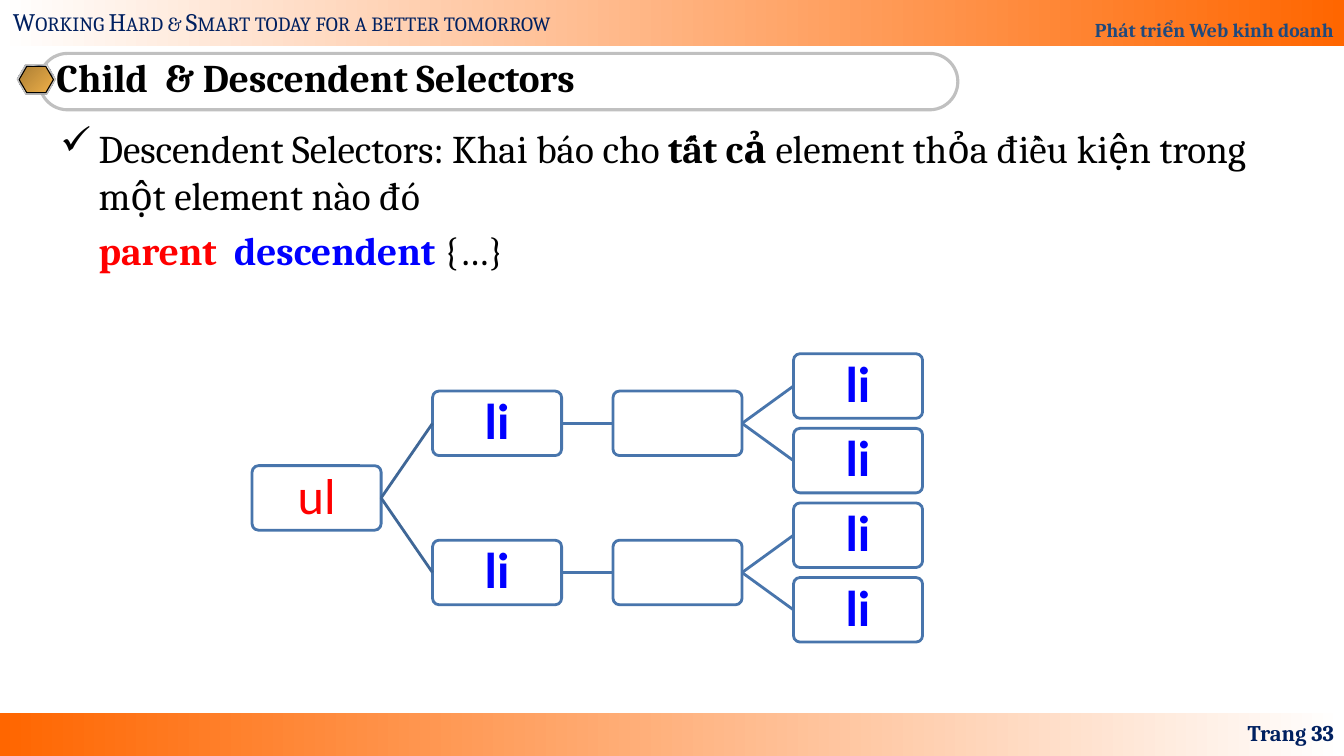
from dataclasses import dataclass

from lxml.etree import SubElement
from pptx import Presentation
from pptx.dml.color import RGBColor
from pptx.enum.shapes import MSO_CONNECTOR, MSO_SHAPE
from pptx.enum.text import MSO_ANCHOR, MSO_AUTO_SIZE, PP_ALIGN
from pptx.oxml.ns import qn
from pptx.util import Emu, Pt


@dataclass(frozen=True)
class Theme:
    white: str = "FFFFFF"
    black: str = "000000"
    orange: str = "FF6600"
    navy: str = "002060"
    slate: str = "1F497D"
    silver: str = "C0C0C0"
    steel: str = "4875AC"
    link: str = "3F6797"
    red: str = "FF0000"
    blue: str = "0000FF"
    serif: str = "Cambria"
    sans: str = "Calibri"
    small: int = 14
    page: int = 16
    motto: int = 18
    body: int = 28
    node: int = 36


T = Theme()
METAL = [(0, "E6E6E6"), (7, "7D8496"), (26, "E6E6E6"), (34, "7D8496"),
         (46, "E6E6E6"), (50, "FFFFFF"), (54, "E6E6E6"), (66, "7D8496"),
         (74, "E6E6E6"), (93, "7D8496"), (100, "E6E6E6")]
GOLD = [(0, "AB7E34"), (100, "EFB049")]

# Tree of elements: (label, children)
PAIR = [("li", []), ("li", [])]
TREE = ("ul", [("li", [("", PAIR)]), ("li", [("", PAIR)])])
LEFT, TOP, STEP, ROW = 250, 351, 179, 74
WIDE, HIGH = 128, 64


def px(n):
    """One px is a hundredth of an inch."""
    return Emu(n * 9144)


def rgb(code):
    return RGBColor.from_string(code)


def blend(shape, stops, angle=0):
    """Fill a shape with a linear gradient of (percent, colour) stops."""
    shape.fill.gradient()
    shape.fill.gradient_angle = -angle % 360
    bag = shape._element.spPr.find(qn("a:gradFill")).find(qn("a:gsLst"))
    for old in list(bag):
        bag.remove(old)
    for pos, code in stops:
        stop = SubElement(bag, qn("a:gs"), pos=str(pos * 1000))
        SubElement(stop, qn("a:srgbClr"), val=code)


def add_box(slide, kind, at, fill=None, line=None, width=2, adj=None, angle=0):
    """Add a preset shape; fill is a colour or a list of gradient stops."""
    shape = slide.shapes.add_shape(kind, *map(px, at))
    shape.shadow.inherit = False
    if adj is not None:
        shape.adjustments[0] = adj
    if fill is None:
        shape.fill.background()
    elif isinstance(fill, str):
        shape.fill.solid()
        shape.fill.fore_color.rgb = rgb(fill)
    else:
        blend(shape, fill, angle)
    if line:
        shape.line.color.rgb = rgb(line)
        shape.line.width = Pt(width)
    else:
        shape.line.fill.background()
    return shape


def add_area(slide, at):
    return slide.shapes.add_textbox(*map(px, at))


def write(shape, *runs, size, color=T.black, font=T.serif, bold=False,
          caps=False, align=PP_ALIGN.LEFT, anchor=MSO_ANCHOR.TOP, wrap=True,
          inset=None, pitch=None, before=0, indent=0, bullet=None, more=False):
    """Write one paragraph; a run is text or (text, colour, bold)."""
    frame = shape.text_frame
    frame.auto_size = MSO_AUTO_SIZE.NONE
    frame.word_wrap = wrap
    frame.vertical_anchor = anchor
    if inset is not None:
        frame.margin_left = frame.margin_right = px(inset)
        frame.margin_top = frame.margin_bottom = px(inset)
    para = frame.add_paragraph() if more else frame.paragraphs[0]
    para.alignment = align
    para.space_before = Pt(before)
    if pitch:
        para.line_spacing = pitch
    if indent:
        props = para._p.get_or_add_pPr()
        props.set("marL", str(px(indent)))
        props.set("indent", str(-px(indent) if bullet else 0))
        if bullet:
            SubElement(props, qn("a:buChar"), char=bullet)
    for item in runs:
        text, tone, heavy = (item, color, bold) if isinstance(item, str) else item
        run = para.add_run()
        run.text = text
        run.font.name = font
        run.font.size = Pt(size)
        run.font.bold = heavy
        run.font.color.rgb = rgb(tone)
        if caps:
            run._r.get_or_add_rPr().set("cap", "small")


def join(slide, start, end, color):
    """Link the right side of one box to the left side of the next."""
    link = slide.shapes.add_connector(MSO_CONNECTOR.STRAIGHT, 0, 0, 0, 0)
    link.begin_connect(start, 3)
    link.end_connect(end, 1)
    link.line.color.rgb = rgb(color)
    link.line.width = Pt(2)
    SubElement(link._element.spPr, qn("a:effectLst"))


def count(node):
    """Count the leaves below a node."""
    return sum(map(count, node[1])) or 1


def grow(slide, node, col=0, row=0):
    """Draw a node centred on its leaves, then its children."""
    label, kids = node
    top = TOP + row * ROW + (count(node) - 1) * ROW // 2
    box = add_box(slide, MSO_SHAPE.ROUNDED_RECTANGLE,
                  (LEFT + col * STEP, top, WIDE, HIGH),
                  fill=T.white, line=T.steel, adj=0.1)
    if label:
        root = col == 0
        write(box, label, size=T.node, font=T.sans, bold=not root,
              color=T.red if root else T.blue, align=PP_ALIGN.CENTER,
              anchor=MSO_ANCHOR.MIDDLE, inset=3, pitch=0.9)
    for kid in kids:
        join(slide, box, grow(slide, kid, col + 1, row),
             T.steel if col else T.link)
        row += count(kid)
    return box


def add_bars(slide):
    fade = [(0, T.white), (100, T.orange)]
    back = [(0, T.orange), (100, T.white)]
    add_box(slide, MSO_SHAPE.RECTANGLE, (0, 707, 1333, 43), fill=back)
    head = add_box(slide, MSO_SHAPE.RECTANGLE, (0, 0, 1333, 46), fill=fade)
    write(head, "Phát triển Web kinh doanh", size=T.small, color=T.slate,
          bold=True, align=PP_ALIGN.RIGHT, anchor=MSO_ANCHOR.BOTTOM, pitch=1.8)
    write(add_area(slide, (3, 1, 590, 40)),
          "Working Hard & Smart today for a better tomorrow",
          size=T.motto, color=T.navy, caps=True, wrap=False)
    write(add_area(slide, (1022, 707, 311, 40)), "Trang 33", size=T.page,
          color=T.navy, bold=True, align=PP_ALIGN.RIGHT,
          anchor=MSO_ANCHOR.MIDDLE)


def add_title(slide):
    add_box(slide, MSO_SHAPE.ROUNDED_RECTANGLE, (39, 53, 911, 56),
            line=T.silver, width=2.25, adj=0.5)
    # Hexagon badge: shade, metal rim, gold face
    for at, fill, line in (((17, 65, 38, 29), "808080", None),
                           ((17, 64, 38, 29), METAL, T.silver),
                           ((19, 66, 34, 26), GOLD, T.black)):
        add_box(slide, MSO_SHAPE.HEXAGON, at, fill=fill, line=line,
                width=0.75, adj=0.29, angle=45)
    title = slide.shapes.title
    title.left, title.top, title.width, title.height = map(px, (56, 53, 880, 56))
    write(title, "Child  & Descendent Selectors", size=T.body, bold=True,
          anchor=MSO_ANCHOR.MIDDLE, inset=0, pitch=0.8)


def add_body(slide):
    body = add_area(slide, (50, 118, 1250, 160))
    write(body, "Descendent Selectors: Khai báo cho ",
          ("tất cả ", T.black, True),
          "element thỏa điều kiện trong một element nào đó",
          size=T.body, indent=38, bullet="✓")
    write(body, ("parent  ", T.red, True), ("descendent ", T.blue, True),
          "{…}", size=T.body, indent=38, before=5.6, more=True)


def main():
    deck = Presentation()
    deck.slide_width, deck.slide_height = px(1333), px(750)
    slide = deck.slides.add_slide(deck.slide_layouts[5])
    add_bars(slide)
    add_title(slide)
    add_body(slide)
    grow(slide, TREE)
    deck.save("out.pptx")


if __name__ == "__main__":
    main()
